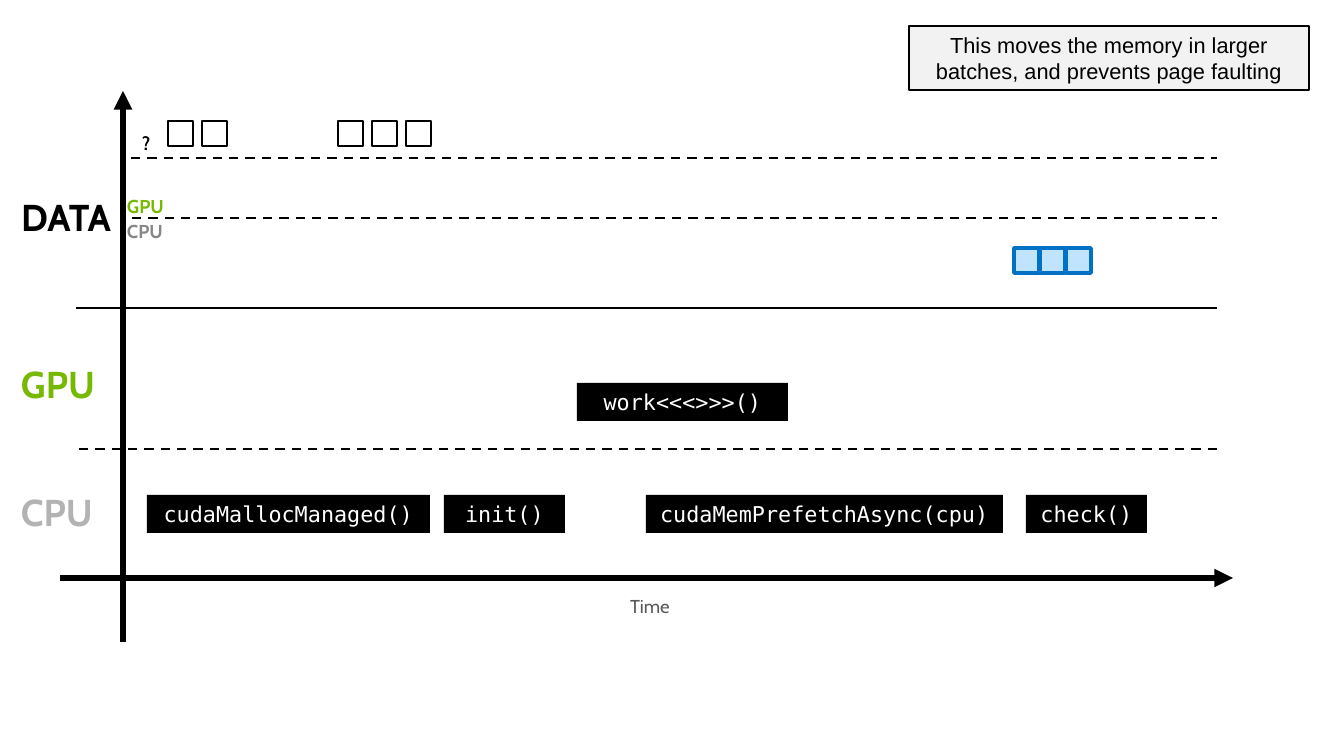
from lxml.etree import SubElement
from pptx import Presentation
from pptx.dml.color import RGBColor
from pptx.enum.dml import MSO_LINE
from pptx.enum.shapes import MSO_CONNECTOR, MSO_SHAPE
from pptx.enum.text import MSO_ANCHOR, PP_ALIGN
from pptx.oxml.ns import qn
from pptx.util import Pt

PX = 914400 // 112
COLORS = {
    "black": "000000", "white": "FFFFFF", "gpu": "76B900", "cpu": "B3B3B3",
    "cpu_data": "868686", "time": "595959", "block": "C0E3FE",
    "block_line": "0071C5", "callout": "F2F2F2",
}
LABEL_FONT, CODE_FONT, CALLOUT_FONT = "Cabin", "DejaVu Sans Mono", "Arial"


def color(name):
    return RGBColor.from_string(COLORS[name])


def emu(*lengths):
    return [length * PX for length in lengths]


def write_text(shape, text, *, size, font, fill, bold=False,
               align=PP_ALIGN.LEFT, anchor=MSO_ANCHOR.BOTTOM, spacing=None):
    frame = shape.text_frame
    frame.word_wrap = True
    frame.vertical_anchor = anchor
    paragraph = frame.paragraphs[0]
    paragraph.alignment = align
    paragraph.line_spacing = spacing
    run = paragraph.add_run()
    run.text = text
    run.font.size = Pt(size)
    run.font.name = font
    run.font.bold = bold
    run.font.color.rgb = color(fill)


def add_label(slide, box, text, *, size=12, fill="black", bold=True, align=PP_ALIGN.LEFT):
    shape = slide.shapes.add_textbox(*emu(*box))
    write_text(shape, text, size=size, font=LABEL_FONT, fill=fill, bold=bold,
               align=align, spacing=0.9)


def add_box(slide, box, *, fill=None, line=None, width=0.75):
    shape = slide.shapes.add_shape(MSO_SHAPE.RECTANGLE, *emu(*box))
    shape.shadow.inherit = False
    if fill:
        shape.fill.solid()
        shape.fill.fore_color.rgb = color(fill)
    else:
        shape.fill.background()
    if line:
        shape.line.color.rgb = color(line)
        shape.line.width = Pt(width)
    else:
        shape.line.fill.background()
    return shape


def add_line(slide, start, end, *, width=1.5, dashed=False, arrow=False):
    connector = slide.shapes.add_connector(MSO_CONNECTOR.STRAIGHT, *emu(*start, *end))
    connector.line.color.rgb = color("black")
    connector.line.width = Pt(width)
    if dashed:
        connector.line.dash_style = MSO_LINE.DASH
    properties = connector._element.spPr
    if arrow:
        SubElement(properties.find(qn("a:ln")), qn("a:tailEnd"), type="triangle")
    SubElement(properties, qn("a:effectLst"))


def add_blocks(slide, left, top, count, pitch, **style):
    for index in range(count):
        add_box(slide, (left + index * pitch, top, 25, 25), **style)


def add_calls(slide, left, top, calls):
    for offset, width, text in calls:
        shape = add_box(slide, (left + offset, top, width, 38), fill="black")
        write_text(shape, text, size=14, font=CODE_FONT, fill="white",
                   align=PP_ALIGN.CENTER, anchor=MSO_ANCHOR.MIDDLE)


def add_axes(slide, left, top, width, height):
    origin_x, origin_y = left + 63, top + 487
    add_line(slide, (origin_x, top + height), (origin_x, top), width=4, arrow=True)
    add_line(slide, (left, origin_y), (left + width, origin_y), width=4, arrow=True)
    add_label(slide, (left + 557, origin_y + 11, 66, 34), "Time",
              fill="time", bold=False, align=PP_ALIGN.CENTER)


def add_data_lane(slide, left, top, width, height):
    right, bottom = left + width, top + height
    # Lane name and its three memory states
    add_label(slide, (left, top + 85, 123, 52), "DATA", size=24)
    add_label(slide, (left + 121, top + 21, 28, 31), "?")
    add_label(slide, (left + 106, top + 84, 62, 31), "GPU", fill="gpu")
    add_label(slide, (left + 106, top + 109, 62, 31), "CPU", fill="cpu_data")
    # Lane separators
    for start, y in ((121, top + 50), (122, top + 110)):
        add_line(slide, (left + start, y), (right, y), dashed=True)
    add_line(slide, (left + 66, bottom), (right, bottom))
    # Memory blocks: unplaced, then on the CPU
    for start, count in ((158, 2), (328, 3)):
        add_blocks(slide, left + start, top + 13, count, 34, line="black")
    add_blocks(slide, left + 1004, top + 140, 3, 26,
               fill="block", line="block_line", width=2.25)


def add_gpu_lane(slide, left, top, width, height):
    bottom = top + height
    add_label(slide, (left, top + 52, 109, 52), "GPU", size=24, fill="gpu")
    add_line(slide, (left + 69, bottom), (left + width, bottom), dashed=True)
    add_calls(slide, left, top + 75, [(567, 211, "work<<<>>>()")])


def add_cpu_lane(slide, left, top):
    add_label(slide, (left, top + 39, 109, 52), "CPU", size=24, fill="cpu")
    add_calls(slide, left, top + 46, [
        (137, 283, "cudaMallocManaged()"),
        (434, 121, "init()"),
        (636, 357, "cudaMemPrefetchAsync(cpu)"),
        (1016, 121, "check()"),
    ])


def add_callout(slide, *box):
    shape = add_box(slide, box, fill="callout", line="black")
    write_text(shape, "This moves the memory in larger batches, and prevents page faulting",
               size=14, font=CALLOUT_FONT, fill="black",
               align=PP_ALIGN.CENTER, anchor=MSO_ANCHOR.TOP)


def main():
    presentation = Presentation()
    presentation.slide_width, presentation.slide_height = emu(1344, 756)
    slide = presentation.slides.add_slide(presentation.slide_layouts[6])
    add_axes(slide, 60, 91, 1173, 551)
    add_data_lane(slide, 10, 108, 1207, 200)
    add_gpu_lane(slide, 10, 308, 1209, 141)
    add_cpu_lane(slide, 10, 449)
    add_callout(slide, 909, 26, 400, 64)
    presentation.save("out.pptx")


if __name__ == "__main__":
    main()
